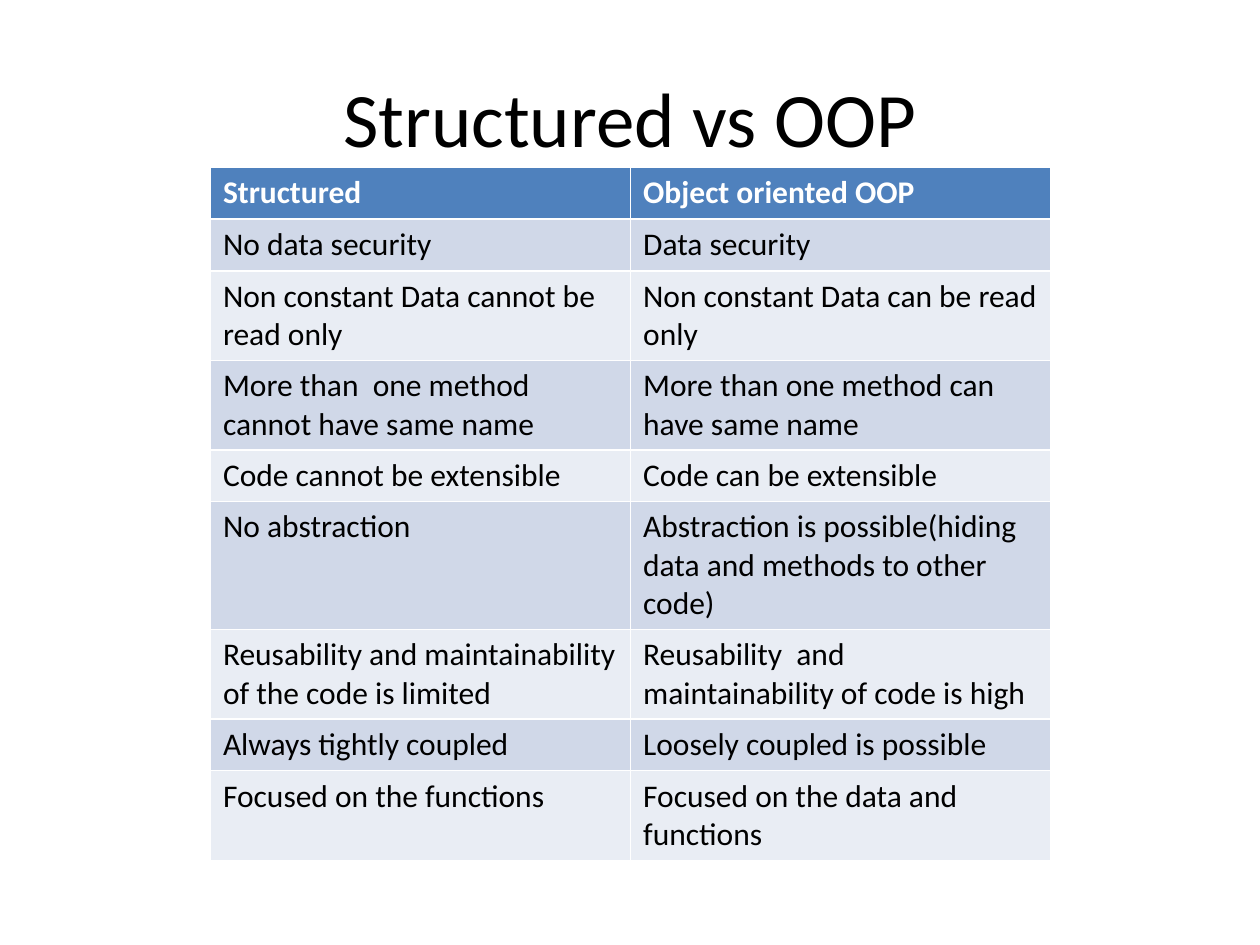
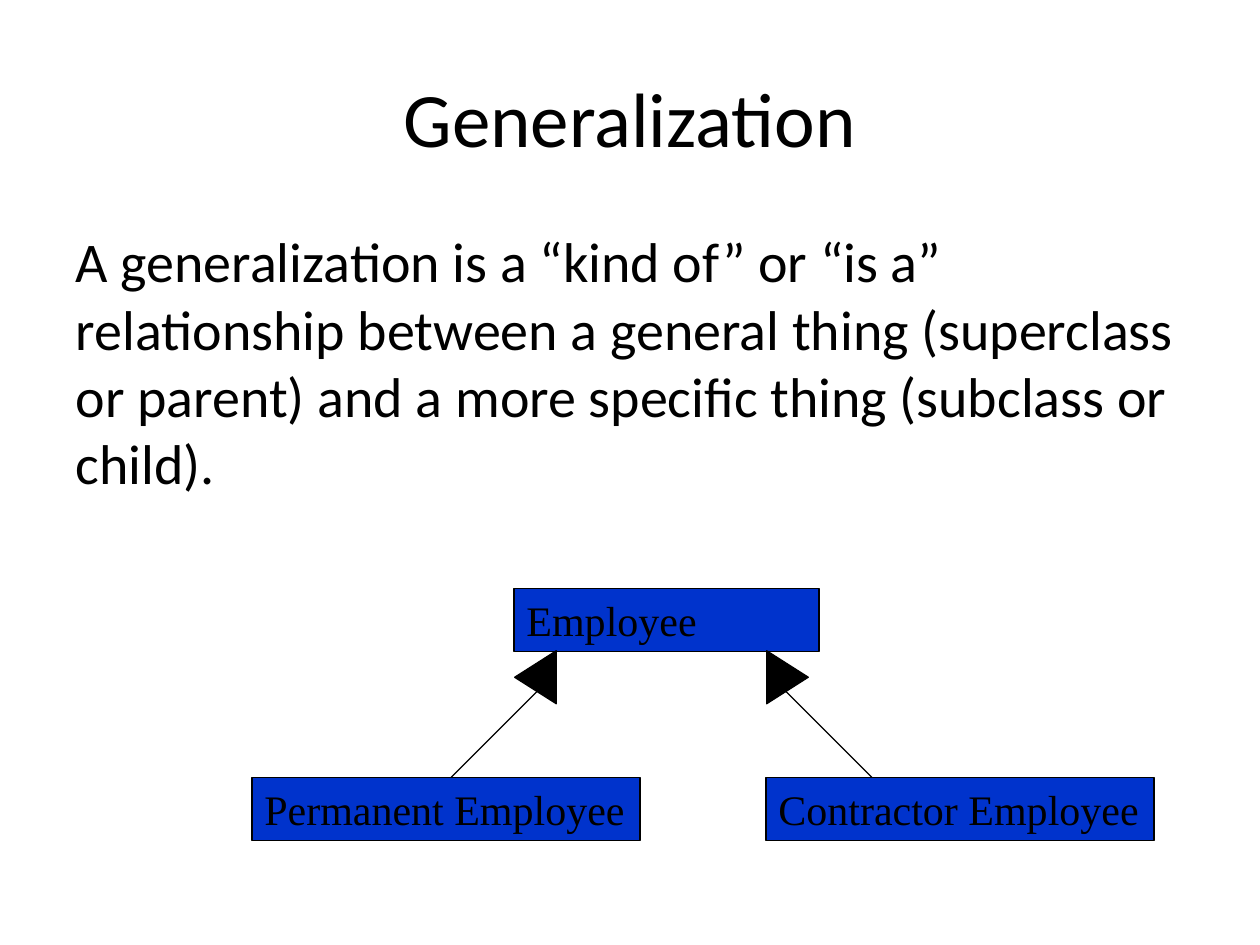
"""Build two slides: structured versus object-oriented code, and generalization."""
from dataclasses import dataclass

from pptx import Presentation
from pptx.dml.color import RGBColor
from pptx.enum.shapes import MSO_CONNECTOR as CONN, MSO_SHAPE as SHAPE
from pptx.enum.text import MSO_ANCHOR as ANCHOR, PP_ALIGN as ALIGN
from pptx.oxml.ns import qn
from pptx.util import Inches, Pt


@dataclass(frozen=True)
class Theme:
    ink: str = "000000"
    paper: str = "FFFFFF"
    header: str = "4F81BD"
    bands: tuple = ("D0D8E8", "E9EDF4")
    box: str = "0033CC"
    font: str = "Calibri"
    box_font: str = "Times New Roman"
    title_size: int = 44
    body_size: int = 32
    box_size: int = 24
    cell_size: int = 18
    line_width: float = 0.75


class Deck:
    def __init__(self, theme):
        self.theme = theme
        self.prs = Presentation()
        self.prs.slide_width, self.prs.slide_height = Inches(10), Inches(7.5)
        self.s = None

    def place(self, sp, x, y, w, h):
        sp.left, sp.top, sp.width, sp.height = map(Inches, (x, y, w, h))

    def add_text(self, tf, text, size, font=None, color=None, bold=False, align=ALIGN.LEFT):
        p = tf.paragraphs[0]
        p.alignment = align
        r = p.add_run()
        r.text = text
        r.font.name = font or self.theme.font
        r.font.size = Pt(size)
        r.font.bold = bold
        r.font.color.rgb = RGBColor.from_string(color or self.theme.ink)
        return p

    def outline(self, sp):
        sp.line.color.rgb = RGBColor.from_string(self.theme.ink)
        sp.line.width = Pt(self.theme.line_width)

    def slide(self, title, layout):
        self.s = self.prs.slides.add_slide(self.prs.slide_layouts.get_by_name(layout))
        sp = self.s.shapes.title
        self.place(sp, 0.5, 0.3, 9, 1.25)
        sp.text_frame.vertical_anchor = ANCHOR.MIDDLE
        self.add_text(sp.text_frame, title, self.theme.title_size, align=ALIGN.CENTER)

    def body(self, text):
        sp = self.s.placeholders[1]
        self.place(sp, 0.5, 1.75, 9, 4.95)
        p = self.add_text(sp.text_frame, text, self.theme.body_size)
        pPr = p._p.get_or_add_pPr()
        pPr.set("marL", "0")
        pPr.set("indent", "0")
        pPr.append(pPr.makeelement(qn("a:buNone"), {}))

    def table(self, rows, x, y, w, row_h):
        t = self.theme
        frame = self.s.shapes.add_table(len(rows), len(rows[0]), Inches(x), Inches(y),
                                        Inches(w), Inches(row_h * len(rows)))
        for i, row in enumerate(rows):
            head = i == 0
            fill = t.header if head else t.bands[(i - 1) % 2]
            for j, text in enumerate(row):
                cell = frame.table.cell(i, j)
                cell.fill.solid()
                cell.fill.fore_color.rgb = RGBColor.from_string(fill)
                self.add_text(cell.text_frame, text, t.cell_size,
                              color=t.paper if head else t.ink, bold=head)

    def shape(self, kind, x, y, w, h, fill, rotation=0):
        sp = self.s.shapes.add_shape(kind, *map(Inches, (x, y, w, h)))
        sp.shadow.inherit = False
        sp.rotation = rotation
        sp.fill.solid()
        sp.fill.fore_color.rgb = RGBColor.from_string(fill)
        self.outline(sp)
        return sp

    def class_box(self, text, x, y, w):
        tf = self.shape(SHAPE.RECTANGLE, x, y, w, 0.5, self.theme.box).text_frame
        tf.word_wrap = False
        tf.vertical_anchor = ANCHOR.MIDDLE
        self.add_text(tf, text, self.theme.box_size, self.theme.box_font)

    def arrowhead(self, x, rotation):
        self.shape(SHAPE.ISOSCELES_TRIANGLE, x, 5.21, 0.42, 0.33, self.theme.ink, rotation)

    def line(self, x1, y1, x2, y2):
        cxn = self.s.shapes.add_connector(CONN.STRAIGHT, *map(Inches, (x1, y1, x2, y2)))
        self.outline(cxn)
        spPr = cxn._element.spPr
        spPr.append(spPr.makeelement(qn("a:effectLst"), {}))


COMPARISON = [
    ("Structured", "Object oriented OOP"),
    ("No data security", "Data security"),
    ("Non constant Data cannot be read only", "Non constant Data can be read only"),
    ("More than  one method cannot have same name",
     "More than one method can have same name"),
    ("Code cannot be extensible", "Code can be extensible"),
    ("No abstraction", "Abstraction is possible(hiding data and methods to other code)"),
    ("Reusability and maintainability of the code is limited",
     "Reusability  and maintainability of code is high"),
    ("Always tightly coupled", "Loosely coupled is possible"),
    ("Focused on the functions", "Focused on the data and functions"),
]


def main():
    deck = Deck(Theme())

    deck.slide("Structured vs OOP", "Title Only")
    deck.table(COMPARISON, 1.67, 1.33, 6.67, 0.41)

    deck.slide("Generalization", "Title and Content")
    deck.body("A generalization is a “kind of” or “is a” relationship between a general "
              "thing (superclass or parent) and a more specific thing (subclass or child).")
    deck.class_box("Employee", 4.08, 4.67, 2.42)
    for name, box_x, head_x, rotation, line_x, tip_x in (
            ("Contractor Employee", 6.08, 6.04, 90, 6.92, 6.17),
            ("Permanent Employee", 2, 4.04, 270, 3.58, 4.33)):
        deck.class_box(name, box_x, 6.17, 3.08)
        deck.arrowhead(head_x, rotation)
        deck.line(line_x, 6.17, tip_x, 5.42)

    deck.prs.save("out.pptx")


if __name__ == "__main__":
    main()
